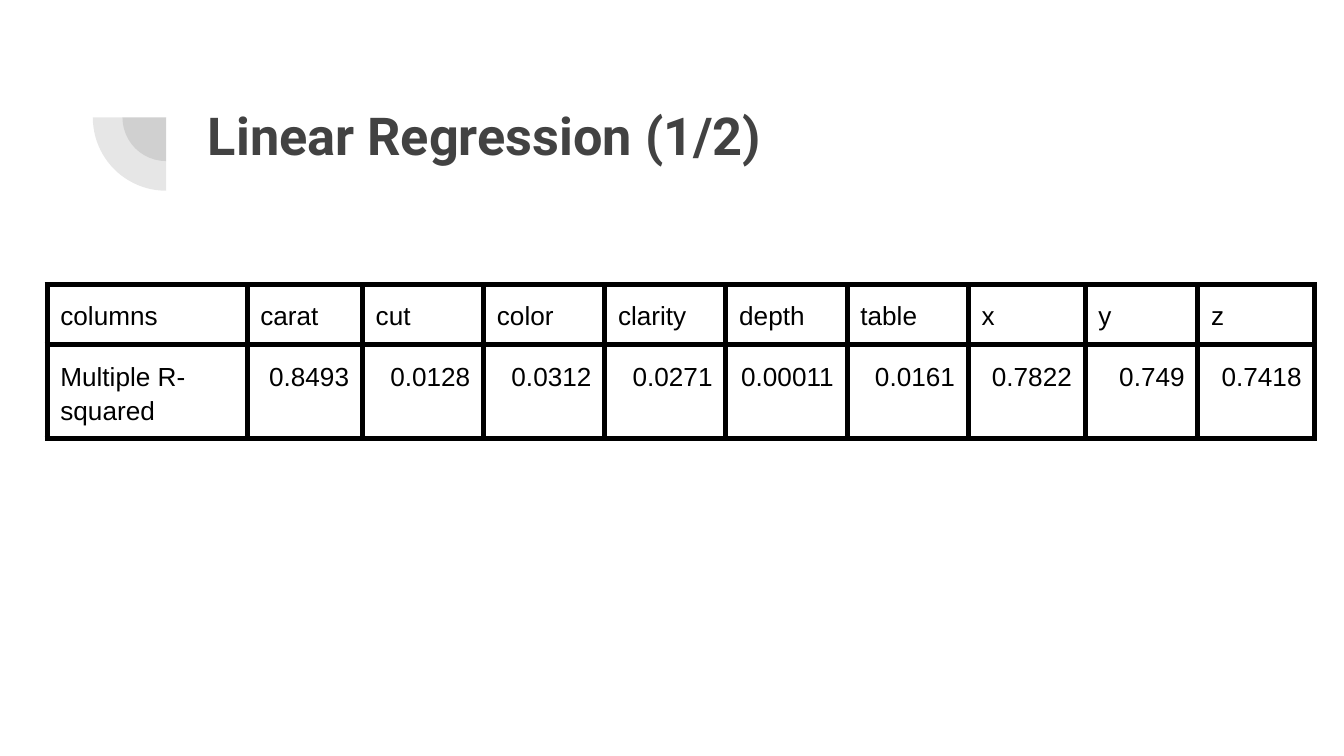
from dataclasses import dataclass

from lxml import etree
from pptx import Presentation
from pptx import util as u
from pptx.dml import color
from pptx.enum import shapes, text
from pptx.oxml import ns

GREY = "424242"
BLACK = "000000"
INSET = u.Cm(0.25)
TITLE_FORMAT = {"name": "Roboto", "size": u.Pt(28), "bold": True}
CELL_FORMAT = {"name": "Arial", "size": u.Pt(14), "bold": False}
MARGINS = dict.fromkeys(
    ("margin_left", "margin_top", "margin_right", "margin_bottom"), INSET)


@dataclass
class Column:
    heading: str
    value: str
    width: float


COLUMNS = [
    Column("columns", "Multiple R-squared", 3.78),
    Column("carat", "0.8493", 2.18),
    Column("cut", "0.0128", 2.29),
    Column("color", "0.0312", 2.29),
    Column("clarity", "0.0271", 2.29),
    Column("depth", "0.00011", 2.29),
    Column("table", "0.0161", 2.29),
    Column("x", "0.7822", 2.21),
    Column("y", "0.749", 2.13),
    Column("z", "0.7418", 2.21),
]
ROW_HEIGHTS = (1.04, 1.65)
PIE_CENTER = (3.14, 2.22)
PIE_DIAMETERS = (1.65, 2.77)


def rgb(value: str) -> color.RGBColor:
    return color.RGBColor.from_string(value)


def set_attributes(target, values: dict) -> None:
    for name, value in values.items():
        setattr(target, name, value)


def format_font(paragraph, values: dict, font_color: str) -> None:
    set_attributes(paragraph.font, values)
    paragraph.font.color.rgb = rgb(font_color)


def add_quarter(group, diameter: float) -> None:
    """Add a translucent quarter disc below and left of the shared centre."""
    left, top = (u.Cm(center - diameter / 2) for center in PIE_CENTER)
    shape = group.shapes.add_shape(
        shapes.MSO_SHAPE.PIE, left, top, u.Cm(diameter), u.Cm(diameter))
    shape.adjustments[0] = 108
    shape.adjustments[1] = 162
    shape.rotation = 270
    shape.shadow.inherit = False
    shape.line.fill.background()
    shape.fill.solid()
    shape.fill.fore_color.rgb = rgb(GREY)
    fill_color = shape.fill._xPr.find(".//" + ns.qn("a:srgbClr"))
    etree.SubElement(fill_color, ns.qn("a:alpha"), val="13000")


def add_borders(cell, width: int, border_color: str) -> None:
    properties = cell._tc.get_or_add_tcPr()
    for position, side in enumerate(("lnL", "lnR", "lnT", "lnB")):
        line = etree.Element(ns.qn(f"a:{side}"), w=str(width))
        fill = etree.SubElement(line, ns.qn("a:solidFill"))
        etree.SubElement(fill, ns.qn("a:srgbClr"), val=border_color)
        properties.insert(position, line)


def fill_cell(cell, content: str, alignment: text.PP_ALIGN) -> None:
    cell.text = content
    set_attributes(cell, MARGINS)
    paragraph = cell.text_frame.paragraphs[0]
    set_attributes(paragraph, {"alignment": alignment, "line_spacing": 1.15})
    format_font(paragraph, CELL_FORMAT, BLACK)
    cell.fill.background()
    add_borders(cell, u.Pt(3), BLACK)


def add_results(slide) -> None:
    frame = slide.shapes.add_table(
        len(ROW_HEIGHTS), len(COLUMNS), u.Cm(0.89), u.Cm(5.38),
        u.Cm(sum(column.width for column in COLUMNS)), u.Cm(sum(ROW_HEIGHTS)))
    table = frame.table
    set_attributes(table, {"first_row": False, "horz_banding": False})
    for row, height in zip(table.rows, ROW_HEIGHTS):
        row.height = u.Cm(height)
    for index, column in enumerate(COLUMNS):
        table.columns[index].width = u.Cm(column.width)
        value_alignment = text.PP_ALIGN.RIGHT if index else text.PP_ALIGN.LEFT
        fill_cell(table.cell(0, index), column.heading, text.PP_ALIGN.LEFT)
        fill_cell(table.cell(1, index), column.value, value_alignment)


def add_title(slide, content: str) -> None:
    title = slide.shapes.title
    set_attributes(title, {"left": u.Cm(3.68), "top": u.Cm(1.7),
                           "width": u.Cm(19.3), "height": u.Cm(1.5)})
    title.text = content
    set_attributes(title.text_frame, MARGINS | {
        "word_wrap": True,
        "auto_size": text.MSO_AUTO_SIZE.NONE,
        "vertical_anchor": text.MSO_ANCHOR.TOP,
    })
    paragraph = title.text_frame.paragraphs[0]
    paragraph.alignment = text.PP_ALIGN.LEFT
    format_font(paragraph, TITLE_FORMAT, GREY)


def main() -> None:
    presentation = Presentation()
    presentation.slide_width = u.Cm(25.4)
    presentation.slide_height = u.Cm(14.29)
    slide = presentation.slides.add_slide(presentation.slide_layouts[5])

    # Corner ornament
    ornament = slide.shapes.add_group_shape()
    for diameter in PIE_DIAMETERS:
        add_quarter(ornament, diameter)

    # Title and regression results
    add_title(slide, "Linear Regression (1/2)")
    add_results(slide)

    presentation.save("out.pptx")


if __name__ == "__main__":
    main()
